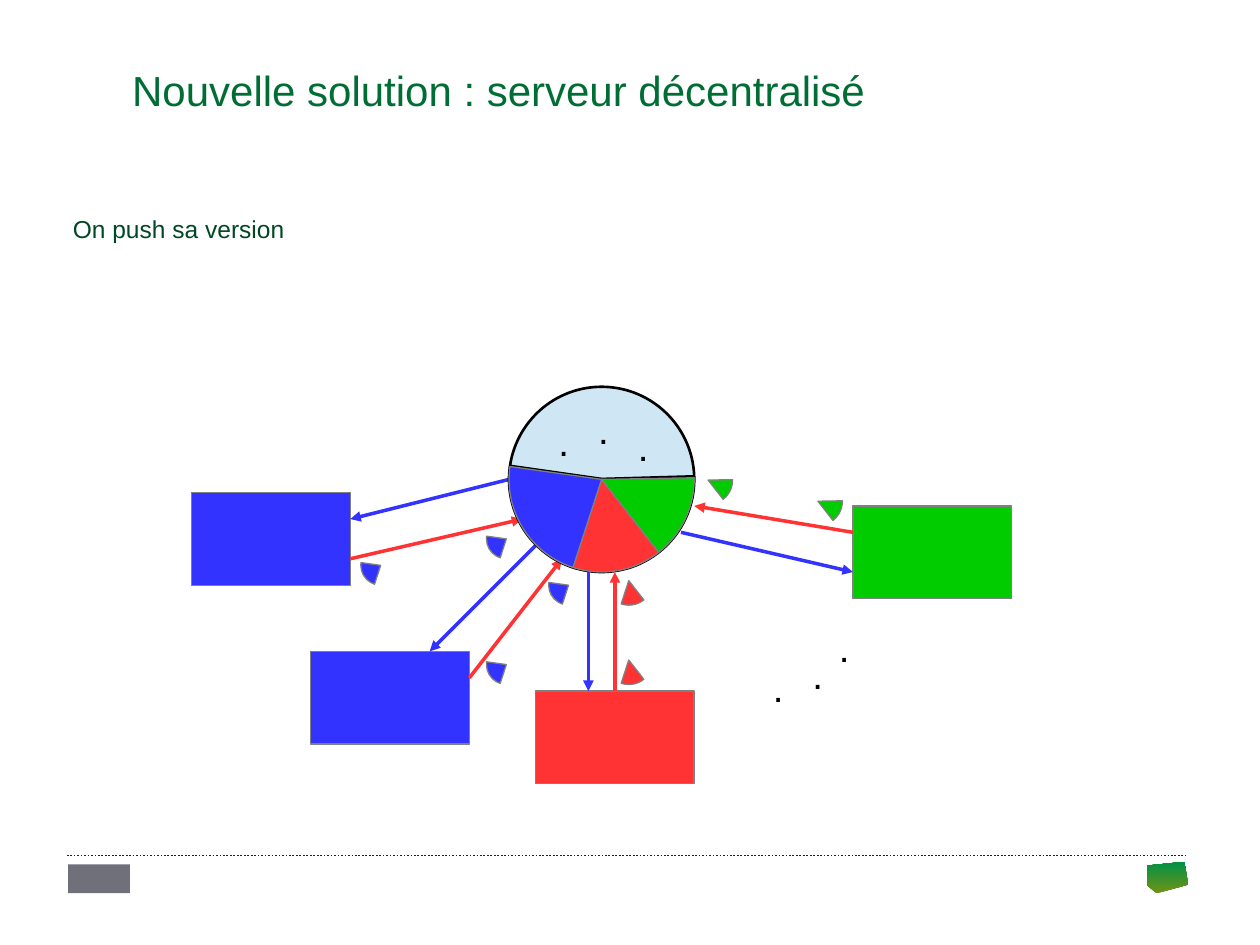
from lxml.etree import SubElement
from pptx import Presentation
from pptx.dml.color import RGBColor
from pptx.enum.dml import MSO_LINE
from pptx.enum.shapes import MSO_CONNECTOR, MSO_SHAPE
from pptx.enum.text import MSO_ANCHOR
from pptx.oxml.ns import qn
from pptx.util import Inches, Pt

BLUE = RGBColor(0x33, 0x33, 0xFF)
RED = RGBColor(0xFF, 0x33, 0x33)
GREEN = RGBColor(0x00, 0xCC, 0x00)
PALE_BLUE = RGBColor(0xCF, 0xE7, 0xF5)
BLACK = RGBColor(0x00, 0x00, 0x00)
GREY = RGBColor(0x80, 0x80, 0x80)
LOGO_GREY = RGBColor(0x70, 0x70, 0x7A)
RULE = RGBColor(0x23, 0x1F, 0x20)
TITLE_GREEN = RGBColor(0x00, 0x6D, 0x34)
BODY_GREEN = RGBColor(0x00, 0x48, 0x23)
OLIVE = RGBColor(0x70, 0x92, 0x16)
LEAF = RGBColor(0x00, 0x91, 0x46)

# The diagram sits on a square grid, its origin level with the server's top
CELL, LEFT, TOP = 0.105, 1.52, 3.07
HAIRLINE = 0

prs = Presentation()
prs.slide_width, prs.slide_height = Inches(10), Inches(7.5)
slide = prs.slides.add_slide(prs.slide_layouts[6])
shapes = slide.shapes


def add_figure(kind, col, row, cols, rows, color, outline=GREY, width=HAIRLINE):
    """Add a filled preset shape placed in grid cells."""
    figure = shapes.add_shape(
        kind, Inches(LEFT + col * CELL), Inches(TOP + row * CELL),
        Inches(cols * CELL), Inches(rows * CELL))
    figure.shadow.inherit = False
    figure.fill.solid()
    figure.fill.fore_color.rgb = color
    figure.line.color.rgb = outline
    figure.line.width = Pt(width)
    return figure


def add_line(start, end, color, width=HAIRLINE, arrow=False):
    """Add a straight line between two (x, y) points in grid cells."""
    (x1, y1), (x2, y2) = start, end
    line = shapes.add_connector(
        MSO_CONNECTOR.STRAIGHT,
        Inches(LEFT + x1 * CELL), Inches(TOP + y1 * CELL),
        Inches(LEFT + x2 * CELL), Inches(TOP + y2 * CELL))
    line.line.color.rgb = color
    line.line.width = Pt(width)
    if arrow:
        SubElement(line.line._get_or_add_ln(), qn("a:tailEnd"), type="triangle")
    SubElement(line._element.spPr, qn("a:effectLst"))
    return line


# Footer: leaf, dotted rule, plain block for the logo
corners = [(9.4, 6.84), (9.1, 6.87), (9.11, 7.03), (9.18, 7.09), (9.43, 7.02)]
outline = shapes.build_freeform(
    Inches(corners[0][0]), Inches(corners[0][1]), scale=1.0)
outline.add_line_segments([(Inches(x), Inches(y)) for x, y in corners[1:]])
leaf = outline.convert_to_shape()
leaf.shadow.inherit = False
leaf.line.fill.background()
leaf.fill.gradient()
leaf.fill.gradient_angle = 90
for stop, color in zip(leaf.fill.gradient_stops, (OLIVE, LEAF)):
    stop.color.rgb = color
leaf.fill.gradient_stops[0].position = 0
leaf.fill.gradient_stops[1].position = 1

rule_row = (6.79 - TOP) / CELL
rule = add_line(((0.53 - LEFT) / CELL, rule_row),
                ((9.41 - LEFT) / CELL, rule_row), RULE, 1)
rule.line.dash_style = MSO_LINE.ROUND_DOT

logo = shapes.add_shape(MSO_SHAPE.RECTANGLE, Inches(0.54), Inches(6.86),
                        Inches(0.49), Inches(0.23))
logo.shadow.inherit = False
logo.fill.solid()
logo.fill.fore_color.rgb = LOGO_GREY
logo.line.fill.background()

# Title and body
for text, box, size, color, anchor in [
    ("Nouvelle solution : serveur décentralisé", (0.95, 0.54, 7.98, 0.4),
     24, TITLE_GREEN, MSO_ANCHOR.MIDDLE),
    ("On push sa version", (0.48, 1.68, 8.46, 5),
     14, BODY_GREEN, MSO_ANCHOR.TOP),
]:
    frame = shapes.add_textbox(*map(Inches, box)).text_frame
    frame.word_wrap = True
    frame.vertical_anchor = anchor
    paragraph = frame.paragraphs[0]
    paragraph.text = text
    paragraph.line_spacing = 0.87
    paragraph.font.name = "Arial"
    paragraph.font.size = Pt(size)
    paragraph.font.color.rgb = color

# Client machines
for col, row, color in [(0, 8, BLUE), (26, 23, RED), (9, 20, BLUE), (50, 9, GREEN)]:
    add_figure(MSO_SHAPE.RECTANGLE, col, row, 12, 7, color)

# Exchanges: red pushes to the server, blue pulls from it
left_exchanges = [
    ((12, 13), (25, 10), RED), ((24, 7), (12, 10), BLUE),
    ((26, 12), (18, 20), BLUE), ((21, 22), (28, 13), RED),
]
right_exchanges = [
    ((32, 23), (32, 14), RED), ((50, 11), (38, 9), RED),
    ((30, 14), (30, 23), BLUE), ((37, 11), (50, 14), BLUE),
]
for start, end, color in left_exchanges:
    add_line(start, end, color, arrow=True)
add_figure(MSO_SHAPE.OVAL, 24, 0, 14, 14, PALE_BLUE, BLACK, 1.5)
for start, end, color in right_exchanges:
    add_line(start, end, color, arrow=True)

# Server spokes
for rim in [(36.5, 11.2), (29, 13.5), (38, 6.8), (33.5, 13.5), (24, 6)]:
    add_line(rim, (31, 7), BLACK)

# Each client's share keeps its angles, on the server and in transit
SHARE_ANGLES = {GREEN: (359, 52), RED: (52, 108), BLUE: (108, 188)}
shares = [
    (24, 0, 14, GREEN), (24, 0, 14, RED), (24, 0, 14, BLUE),
    (12.8, 12, 3, BLUE), (22.3, 10, 3, BLUE),
    (22.3, 19.5, 3, BLUE), (27, 13.5, 3, BLUE),
    (31.2, 18.8, 3.7, RED), (31.2, 12.8, 3.7, RED),
    (45.5, 6.8, 3.7, GREEN), (37.2, 5.2, 3.7, GREEN),
]
for col, row, size, color in shares:
    share = add_figure(MSO_SHAPE.PIE, col, row, size, size, color)
    for index, angle in enumerate(SHARE_ANGLES[color]):
        share.adjustments[index] = angle * 0.6  # 60000ths of a degree / 100000

# Dots standing for further shares and clients
for col, row in [(32.8, 2.3), (26.8, 1.9), (29.8, 1),
                 (48, 17.5), (43, 20.5), (46, 19.5)]:
    dot = shapes.add_textbox(
        Inches(LEFT + col * CELL), Inches(TOP + row * CELL),
        Inches(3 * CELL), Inches(5.6 * CELL)).text_frame
    dot.word_wrap = True
    dot.paragraphs[0].text = "."
    dot.paragraphs[0].font.name = "Arial"
    dot.paragraphs[0].font.size = Pt(22)
    dot.paragraphs[0].font.color.rgb = BLACK

prs.save("out.pptx")
